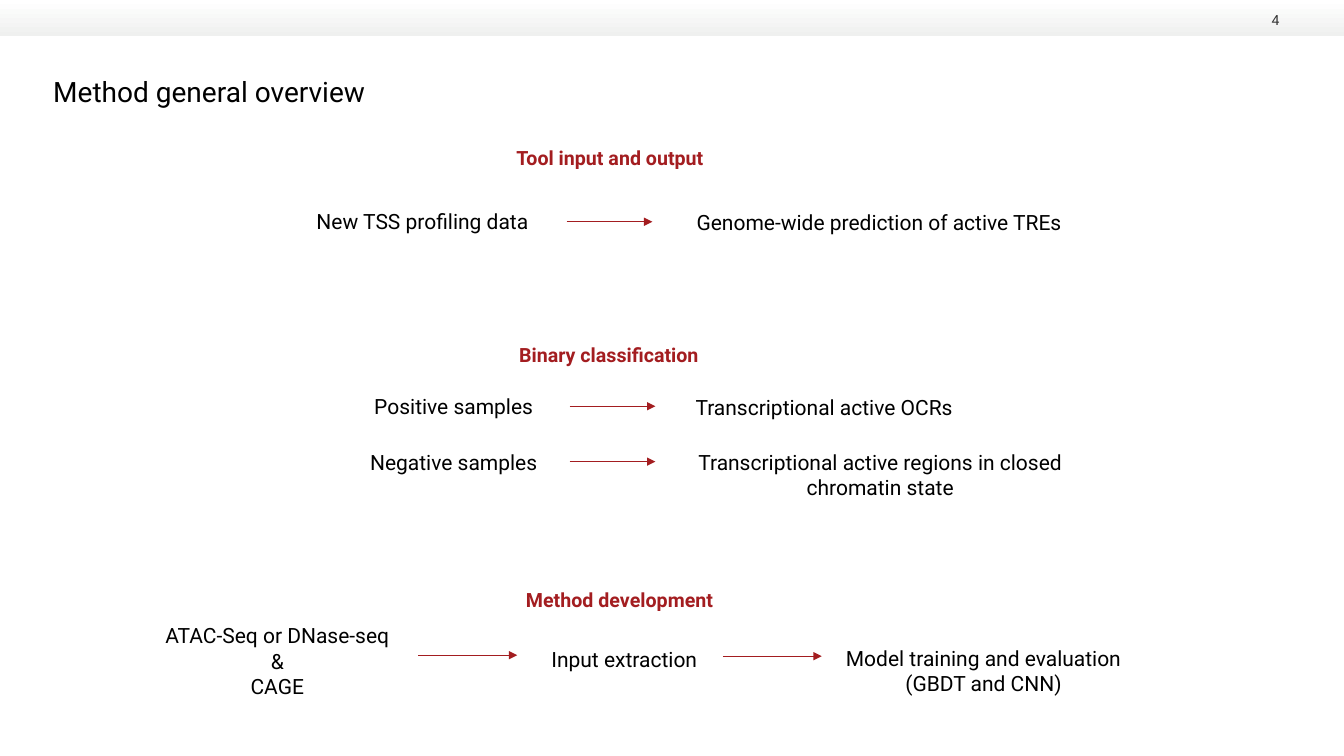
from dataclasses import dataclass

from lxml import etree
from pptx import Presentation
from pptx.dml.color import RGBColor
from pptx.enum.shapes import MSO_CONNECTOR, MSO_SHAPE
from pptx.enum.text import MSO_ANCHOR, MSO_AUTO_SIZE, PP_ALIGN
from pptx.oxml import parse_xml
from pptx.oxml.ns import nsdecls, qn
from pptx.util import Inches, Pt

LEFT, CENTER, RIGHT = PP_ALIGN.LEFT, PP_ALIGN.CENTER, PP_ALIGN.RIGHT
BOTTOM = MSO_ANCHOR.BOTTOM
GROW = MSO_AUTO_SIZE.SHAPE_TO_FIT_TEXT
RECTANGLE = MSO_SHAPE.RECTANGLE
STRAIGHT = MSO_CONNECTOR.STRAIGHT

FONT = "Roboto"
COLORS = {
    "text": "000000",
    "accent": "A31D20",
    "number": "333333",
    "band_top": "FFFFFF",
    "band_bottom": "EFF0EF",
}


@dataclass
class Label:
    lines: list[str]
    left: float
    top: float
    width: float
    height: float = 0.35
    size: float = 15
    color: str = "text"
    bold: bool = False
    align: PP_ALIGN = CENTER


@dataclass
class Heading(Label):
    height: float = 0.34
    size: float = 14
    color: str = "accent"
    bold: bool = True


@dataclass
class Arrow:
    left: float
    y: float
    length: float


TITLE = Label(["Method general overview"], 0.43, 0.69, 3.53, 0.44, size=20, align=LEFT)
NUMBER = Label(["4"], 12.27, 0.09, 0.42, 0.19, size=10, color="number", align=RIGHT)

LABELS = [
    # Tool input and output
    Heading(["Tool input and output"], 4.65, 1.4, 2.8),
    Label(["New TSS profiling data"], 3.02, 2.02, 2.34),
    Label(["Genome-wide prediction of active TREs"], 6.72, 2.03, 4),
    # Binary classification
    Heading(["Binary classification"], 4.87, 3.35, 2.34),
    Label(["Positive samples"], 3.19, 3.85, 2.62),
    Label(["Transcriptional active OCRs"], 6.56, 3.86, 3.23),
    Label(["Negative samples"], 3.19, 4.41, 2.62),
    Label(["Transcriptional active regions in closed chromatin state"],
          6.62, 4.41, 4.22, 0.61),
    # Method development
    Heading(["Method development"], 4.64, 5.78, 3.01),
    Label(["ATAC-Seq or DNase-seq", "&", "CAGE"], 1.44, 6.13, 2.62, 0.86),
    Label(["Input extraction"], 5.37, 6.36, 1.88, align=LEFT),
    Label(["Model training and evaluation", "(GBDT and CNN)"], 8.25, 6.35, 3.01, 0.61),
]

ARROWS = [
    Arrow(5.62, 2.2, 0.85),
    Arrow(5.65, 4.03, 0.85),
    Arrow(5.65, 4.58, 0.85),
    Arrow(4.15, 6.5, 0.98),
    Arrow(7.17, 6.51, 0.98),
]


def rgb(name: str) -> RGBColor:
    return RGBColor.from_string(COLORS[name])


def add_band(slide, width: float, height: float) -> None:
    sp = slide.shapes.add_shape(RECTANGLE, 0, 0, Inches(width), Inches(height))
    sp.shadow.inherit = False
    sp.line.fill.background()
    sp.fill.gradient()
    sp.fill.gradient_angle = 270
    for stop, name in zip(sp.fill.gradient_stops, ("band_top", "band_bottom")):
        stop.color.rgb = rgb(name)


def add_label(slide, label: Label):
    sp = slide.shapes.add_textbox(Inches(label.left), Inches(label.top),
                                  Inches(label.width), Inches(label.height))
    tf = sp.text_frame
    tf.word_wrap = True
    tf.auto_size = GROW
    for i, line in enumerate(label.lines):
        p = tf.add_paragraph() if i else tf.paragraphs[0]
        p.alignment = label.align
        r = p.add_run()
        r.text = line
        r.font.name = FONT
        r.font.size = Pt(label.size)
        r.font.bold = label.bold
        r.font.color.rgb = rgb(label.color)
    return sp


def add_text_shadow(sp) -> None:
    for r in sp.text_frame.paragraphs[0].runs:
        fill = r.font._element.find(qn("a:solidFill"))
        fill.addnext(parse_xml(
            f'<a:effectLst {nsdecls("a")}>'
            '<a:outerShdw blurRad="38100" dist="38100" dir="2700000" algn="tl">'
            '<a:srgbClr val="000000"><a:alpha val="43000"/></a:srgbClr>'
            '</a:outerShdw></a:effectLst>'))


def add_arrow(slide, arrow: Arrow) -> None:
    y = Inches(arrow.y)
    cxn = slide.shapes.add_connector(STRAIGHT, Inches(arrow.left), y,
                                     Inches(arrow.left + arrow.length), y)
    cxn.line.color.rgb = rgb("accent")
    cxn.line.width = Pt(0.5)
    etree.SubElement(cxn.line._get_or_add_ln(), qn("a:tailEnd"), type="triangle")
    etree.SubElement(cxn._element.spPr, qn("a:effectLst"))


def main() -> None:
    prs = Presentation()
    prs.slide_width, prs.slide_height = Inches(13.33), Inches(7.5)
    slide = prs.slides.add_slide(prs.slide_layouts[6])

    # Header band and title
    add_band(slide, 13.33, 0.36)
    add_text_shadow(add_label(slide, TITLE))

    # Three sections
    for label in LABELS:
        add_label(slide, label)
    for arrow in ARROWS:
        add_arrow(slide, arrow)

    # Slide number
    tf = add_label(slide, NUMBER).text_frame
    tf.auto_size = MSO_AUTO_SIZE.NONE
    tf.vertical_anchor = BOTTOM
    tf.margin_left = tf.margin_right = tf.margin_top = tf.margin_bottom = 0

    prs.save("out.pptx")


if __name__ == "__main__":
    main()
